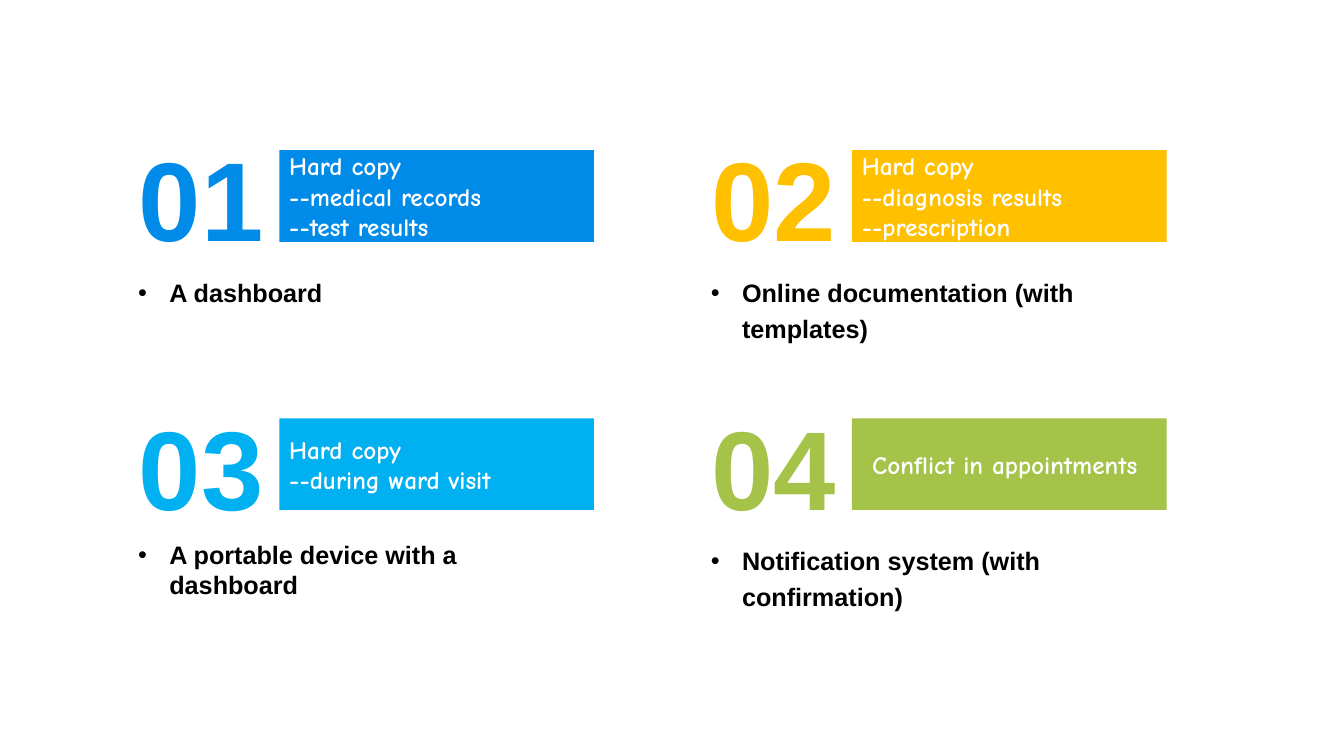
"""Build a slide with four numbered problems and their solutions."""
from lxml.etree import SubElement
from pptx import Presentation
from pptx.dml.color import RGBColor
from pptx.enum.shapes import MSO_SHAPE
from pptx.enum.text import MSO_ANCHOR, MSO_AUTO_SIZE, PP_ALIGN
from pptx.oxml.ns import qn
from pptx.util import Pt

PX = 9144


def box(*lengths):
    return [n * PX for n in lengths]


def add_run(p, text, size, font, color):
    r = p.add_run()
    r.text = text
    r.font.size = Pt(size)
    r.font.name = font
    r.font.bold = True
    r.font.color.rgb = RGBColor.from_string(color)


prs = Presentation()
prs.slide_width, prs.slide_height = box(1333, 750)
s = prs.slides.add_slide(prs.slide_layouts[4])
title = s.shapes.title.element
title.getparent().remove(title)
bodies = list(s.placeholders)

items = [
    ("018BE9", ["Hard copy", "--medical records", "--test results"],
     PP_ALIGN.LEFT, "A dashboard", 1.2),
    ("FFC000", ["Hard copy", "--diagnosis results", "--prescription"],
     PP_ALIGN.LEFT, "Online documentation (with templates)", 1.2),
    ("00B0F0", ["Hard copy", "--during ward visit"],
     PP_ALIGN.LEFT, "A portable device with a dashboard", 1.0),
    ("A5C249", ["Conflict in appointments "],
     PP_ALIGN.CENTER, "Notification system (with confirmation)", 1.2),
]

for i, (color, problem, align, solution, spacing) in enumerate(items):
    row, col = divmod(i, 2)
    x, y = 127 + 568 * col, 128 + 266 * row

    sp = s.shapes.add_shape(MSO_SHAPE.RECTANGLE, *box(x + 150, y + 21, 312, 91))
    sp.shadow.inherit = False
    sp.fill.solid()
    sp.fill.fore_color.rgb = RGBColor.from_string(color)
    sp.line.fill.background()
    tf = sp.text_frame
    tf.word_wrap = True
    tf.vertical_anchor = MSO_ANCHOR.MIDDLE
    for n, line in enumerate(problem):
        p = tf.add_paragraph() if n else tf.paragraphs[0]
        p.alignment = align
        add_run(p, line, 18, "Comic Neue", "FFFFFF")

    tf = s.shapes.add_textbox(*box(x, y, 145, 135)).text_frame
    tf.word_wrap = True
    tf.vertical_anchor = MSO_ANCHOR.MIDDLE
    tf.margin_left = tf.margin_right = tf.margin_top = tf.margin_bottom = 0
    p = tf.paragraphs[0]
    p.alignment = PP_ALIGN.CENTER
    add_run(p, f"{i + 1:02}", 80, "Arial", color)

    sp = bodies[i]
    sp.left, sp.top, sp.width, sp.height = box(x, y + 136, 462, 107)
    tf = sp.text_frame
    tf.word_wrap = True
    tf.auto_size = MSO_AUTO_SIZE.NONE
    tf.vertical_anchor = MSO_ANCHOR.TOP
    p = tf.paragraphs[0]
    p.line_spacing = spacing
    p.space_before = Pt(0)
    pPr = p._p.get_or_add_pPr()
    pPr.set("marL", str(31 * PX))
    pPr.set("indent", str(-31 * PX))
    SubElement(pPr, qn("a:buFont"), typeface="Arial")
    SubElement(pPr, qn("a:buChar"), char="•")
    add_run(p, solution, 18, "Arial", "000000")

prs.save("out.pptx")
